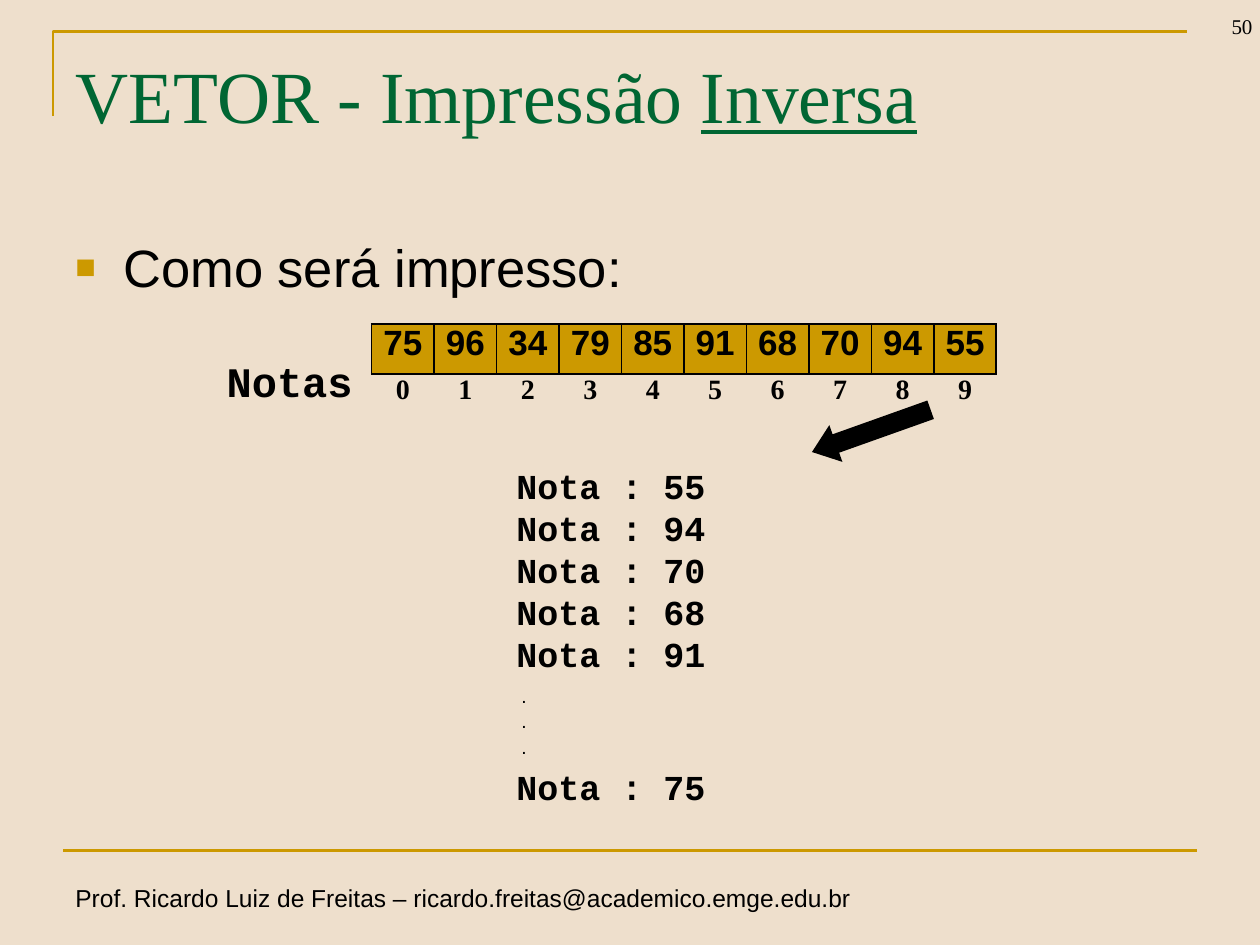
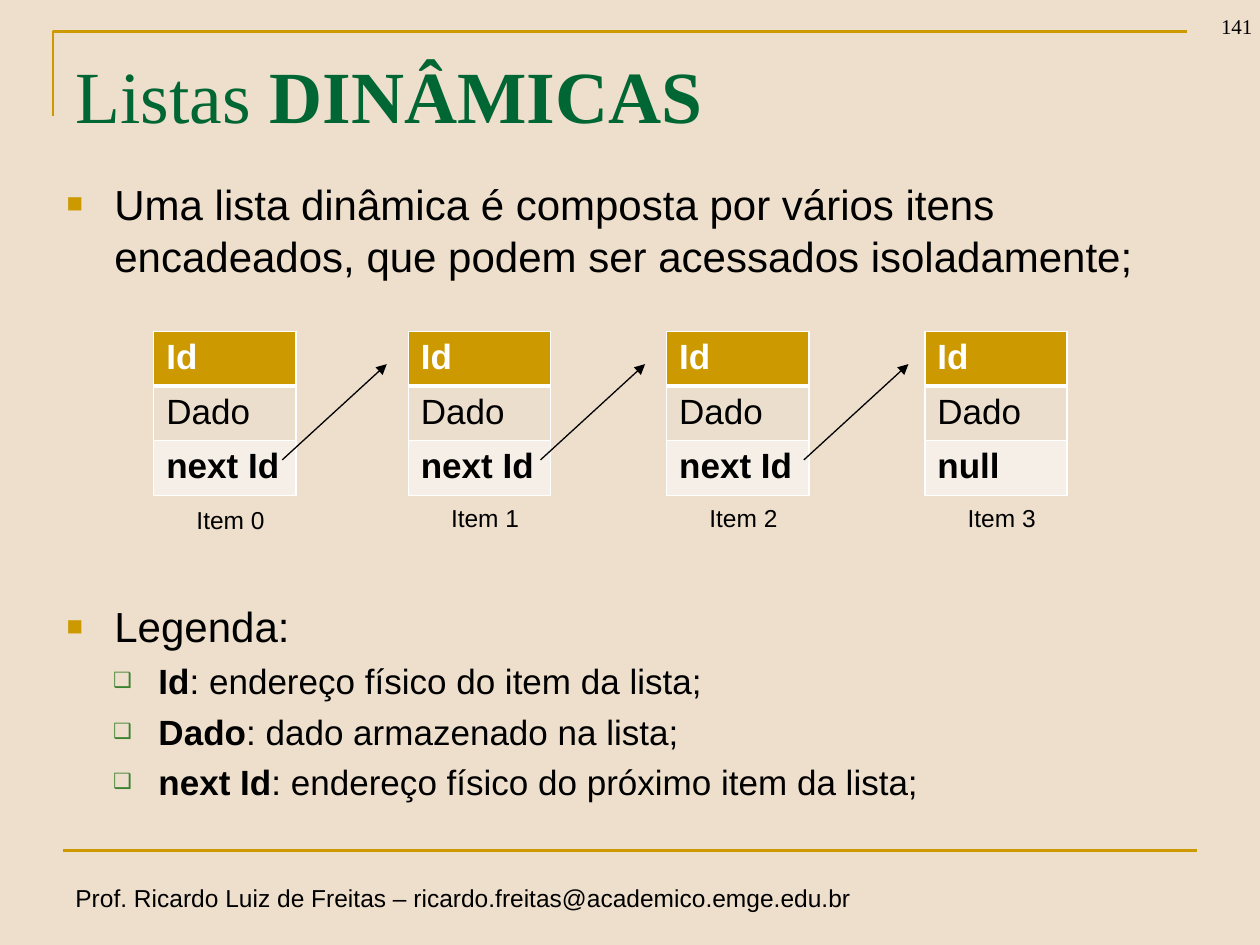
"""Build two lecture slides about vectors and dynamic lists."""
from dataclasses import dataclass
from typing import Any, Optional

from lxml.etree import SubElement
from pptx import Presentation
from pptx.dml.color import RGBColor
from pptx.enum.dml import MSO_LINE
from pptx.enum.shapes import MSO_CONNECTOR, MSO_SHAPE
from pptx.enum.text import MSO_ANCHOR, MSO_AUTO_SIZE, PP_ALIGN
from pptx.oxml.ns import qn
from pptx.util import Inches, Pt

GOLD, GREEN, LEAF, SAND = "CC9900", "006633", "3B812F", "EEDFCC"
BLACK, WHITE, BEIGE, CREAM = "000000", "FFFFFF", "ECDECC", "F6EFE7"
SANS, SERIF, MONO = "Arial", "Times New Roman", "Courier New"
FOOT = "Prof. Ricardo Luiz de Freitas – ricardo.freitas@academico.emge.edu.br"
GRADES = [75, 96, 34, 79, 85, 91, 68, 70, 94, 55]


@dataclass
class Run:
    text: str
    size: float = 20
    face: str = SANS
    color: str = BLACK
    bold: bool = False
    under: bool = False


@dataclass
class Mark:
    char: str
    color: str
    size: int
    left: float
    hang: float


@dataclass
class Para:
    runs: list[Run]
    mark: Optional[Mark] = None
    align: Any = PP_ALIGN.LEFT
    before: float = 0
    pitch: Any = None
    left: float = 0


@dataclass
class Item:
    left: float
    row: float
    label: float
    last: str = "next Id"
    tail: Optional[float] = None


SQUARE = Mark("■", GOLD, 65, 0.38, 0.38)
BOX = Mark("❑", LEAF, 60, 0.73, 0.36)
ITEMS = [
    Item(1.22, 0.41, 3.96, tail=2.24),
    Item(3.24, 0.41, 3.94, tail=4.29),
    Item(5.29, 0.43, 3.94, tail=6.38),
    Item(7.34, 0.43, 3.94, last="null"),
]


def tint(target: Any, color: str) -> None:
    target.rgb = RGBColor.from_string(color)


def assign(target: Any, values: dict[str, Any]) -> None:
    for name, value in values.items():
        setattr(target, name, value)


def paint(fill: Any, color: Optional[str]) -> None:
    if color:
        fill.solid()
        tint(fill.fore_color, color)
    else:
        fill.background()


def bullet(props: Any, mark: Mark) -> None:
    props.set("marL", str(Inches(mark.left)))
    props.set("indent", str(-Inches(mark.hang)))
    shade = SubElement(props, qn("a:buClr"))
    SubElement(shade, qn("a:srgbClr"), val=mark.color)
    SubElement(props, qn("a:buSzPct"), val=str(mark.size * 1000))
    SubElement(props, qn("a:buFont"), typeface=SANS)
    SubElement(props, qn("a:buChar"), char=mark.char)


def write(frame: Any, paras: list[Para]) -> None:
    for index, para in enumerate(paras):
        line = frame.add_paragraph() if index else frame.paragraphs[0]
        props = line._p.get_or_add_pPr()
        if para.mark:
            bullet(props, para.mark)
        elif para.left:
            props.set("marL", str(Inches(para.left)))
        assign(line, {"alignment": para.align, "space_before": Pt(para.before)})
        if para.pitch:
            line.line_spacing = para.pitch
        for run in para.runs:
            part = line.add_run()
            part.text = run.text
            assign(part.font, {"name": run.face, "size": Pt(run.size),
                               "bold": run.bold, "underline": run.under})
            tint(part.font.color, run.color)


def label(slide: Any, place: tuple, paras: list[Para], **values: Any) -> None:
    box = slide.shapes.add_textbox(*map(Inches, place))
    assign(box.text_frame, {"word_wrap": True, **values})
    write(box.text_frame, paras)


def line(slide: Any, ends: tuple, color: str, width: float,
         arrow: bool = False) -> None:
    link = slide.shapes.add_connector(MSO_CONNECTOR.STRAIGHT, *map(Inches, ends))
    tint(link.line.color, color)
    assign(link.line, {"width": Pt(width), "dash_style": MSO_LINE.SOLID})
    if arrow:
        SubElement(link.line._get_or_add_ln(), qn("a:tailEnd"), type="triangle")
    SubElement(link._element.spPr, qn("a:effectLst"))


def border(cell: Any, widths: dict[str, float], color: str) -> None:
    props = cell._tc.get_or_add_tcPr()
    for side in "LRTB":
        width = widths.get(side, 0)
        edge = SubElement(props, qn(f"a:ln{side}"), w=str(Pt(width)))
        if width:
            solid = SubElement(edge, qn("a:solidFill"))
            SubElement(solid, qn("a:srgbClr"), val=color)
        else:
            SubElement(edge, qn("a:noFill"))


def grid(slide: Any, place: tuple, rows: list[float], cols: int) -> Any:
    left, top, width = place
    shape = slide.shapes.add_table(len(rows), cols, Inches(left), Inches(top),
                                   Inches(width), Inches(sum(rows)))
    table = shape.table
    assign(table, {"first_row": False, "horz_banding": False})
    for row, height in zip(table.rows, rows):
        row.height = Inches(height)
    return table


def start(deck: Any, title: list[Run], number: int) -> Any:
    slide = deck.slides.add_slide(deck.slide_layouts[5])
    head = slide.shapes.title
    assign(head, {"left": Inches(0.5), "top": Inches(0.35),
                  "width": Inches(9), "height": Inches(1.2)})
    assign(head.text_frame, {"vertical_anchor": MSO_ANCHOR.TOP,
                             "auto_size": MSO_AUTO_SIZE.NONE})
    write(head.text_frame, [Para(title)])
    path = slide.shapes.build_freeform(Inches(0.42), Inches(0.92))
    path.add_line_segments([(Inches(0.42), Inches(0.25)),
                            (Inches(9.42), Inches(0.25))], close=False)
    corner = path.convert_to_shape()
    corner.shadow.inherit = False
    paint(corner.fill, None)
    tint(corner.line.color, GOLD)
    corner.line.width = Pt(1.5)
    line(slide, (0.5, 6.75, 9.5, 6.75), GOLD, 1.5)
    label(slide, (0.5, 6.96, 6.38, 0.34), [Para([Run(FOOT, 14)])], word_wrap=False)
    label(slide, (9.24, 0, 0.75, 0.36),
          [Para([Run(str(number), 12, SERIF)], align=PP_ALIGN.RIGHT)],
          vertical_anchor=MSO_ANCHOR.BOTTOM, margin_right=Inches(0.05))
    return slide


def vector(deck: Any) -> None:
    slide = start(deck, [Run("VETOR - Impressão ", 42, SERIF, GREEN),
                         Run("Inversa", 42, SERIF, GREEN, under=True)], 50)
    label(slide, (0.5, 1.82, 9, 0.6),
          [Para([Run("Como será impresso:", 30)], SQUARE)])
    label(slide, (1.7, 2.77, 1.25, 0.5),
          [Para([Run("Notas", 24, MONO, bold=True)])], word_wrap=False)

    def note(grade: int, pitch: float = 24) -> Para:
        return Para([Run(f"Nota : {grade}", 20, MONO, bold=True)], pitch=Pt(pitch))

    dots = [Para([Run(".", 11)], pitch=Pt(pitch), left=0.04)
            for pitch in (18.5, 14.5, 14.5)]
    back = GRADES[::-1]
    label(slide, (4, 3.64, 2.5, 2.85),
          [*map(note, back[:5]), *dots, note(back[-1], 28)])

    table = grid(slide, (2.95, 2.57, 4.96), [0.4, 0.47], len(GRADES))
    for index, grade in enumerate(GRADES):
        cells = (
            (Run(str(grade), 20, bold=True), dict.fromkeys("LRTB", 1), GOLD),
            (Run(str(index), 16, SERIF, bold=True), {"T": 1}, None),
        )
        for row, (run, widths, color) in enumerate(cells):
            cell = table.cell(row, index)
            assign(cell, {"margin_left": Inches(0.07), "margin_right": Inches(0.07),
                          "margin_top": 0, "margin_bottom": 0})
            border(cell, widths, BLACK)
            paint(cell.fill, color)
            write(cell.text_frame, [Para([run], align=PP_ALIGN.CENTER)])

    arrow = slide.shapes.add_shape(MSO_SHAPE.DOWN_ARROW, Inches(6.76),
                                   Inches(2.92), Inches(0.31), Inches(1))
    arrow.rotation = 70.4
    arrow.adjustments[1] = 0.65
    arrow.shadow.inherit = False
    paint(arrow.fill, BLACK)
    arrow.line.fill.background()


def chain(deck: Any) -> None:
    slide = start(deck, [Run("Listas ", 42, SERIF, GREEN),
                         Run("DINÂMICAS", 42, SERIF, GREEN, bold=True)], 141)
    intro = ("Uma lista dinâmica é composta por vários itens encadeados, "
             "que podem ser acessados isoladamente;")
    label(slide, (0.43, 1.35, 8.94, 0.95),
          [Para([Run(intro, 24)], SQUARE, pitch=1.04)])
    terms = {
        "Id": "endereço físico do item da lista;",
        "Dado": "dado armazenado na lista;",
        "next Id": "endereço físico do próximo item da lista;",
    }
    legend = [Para([Run("Legenda:", 24)], SQUARE, pitch=1.04)]
    legend += [Para([Run(term, bold=True), Run(f": {text}")], BOX,
                    before=4, pitch=1.04) for term, text in terms.items()]
    label(slide, (0.43, 4.7, 8.94, 1.75), legend)

    for index, item in enumerate(ITEMS):
        table = grid(slide, (item.left, 2.63, 1.13), [item.row] * 3, 1)
        cells = (
            (Run("Id", color=WHITE, bold=True), GOLD, 1, 3),
            (Run("Dado"), BEIGE, 3, 1),
            (Run(item.last, bold=True), CREAM, 1, 1),
        )
        for row, (run, color, top, base) in enumerate(cells):
            cell = table.cell(row, 0)
            border(cell, {"L": 1, "R": 1, "T": top, "B": base}, WHITE)
            paint(cell.fill, color)
            write(cell.text_frame, [Para([run])])
        label(slide, (item.left + 0.1, item.label, 1.02, 0.34),
              [Para([Run(f"Item {index}", 14)], align=PP_ALIGN.CENTER)])
    for item in ITEMS:
        if item.tail:
            line(slide, (item.tail, 3.65, item.tail + 0.83, 2.89), BLACK, 0.75, True)


def main() -> None:
    deck = Presentation()
    assign(deck, {"slide_width": Inches(10), "slide_height": Inches(7.5)})
    paint(deck.slide_master.background.fill, SAND)
    vector(deck)
    chain(deck)
    deck.save("out.pptx")


if __name__ == "__main__":
    main()
